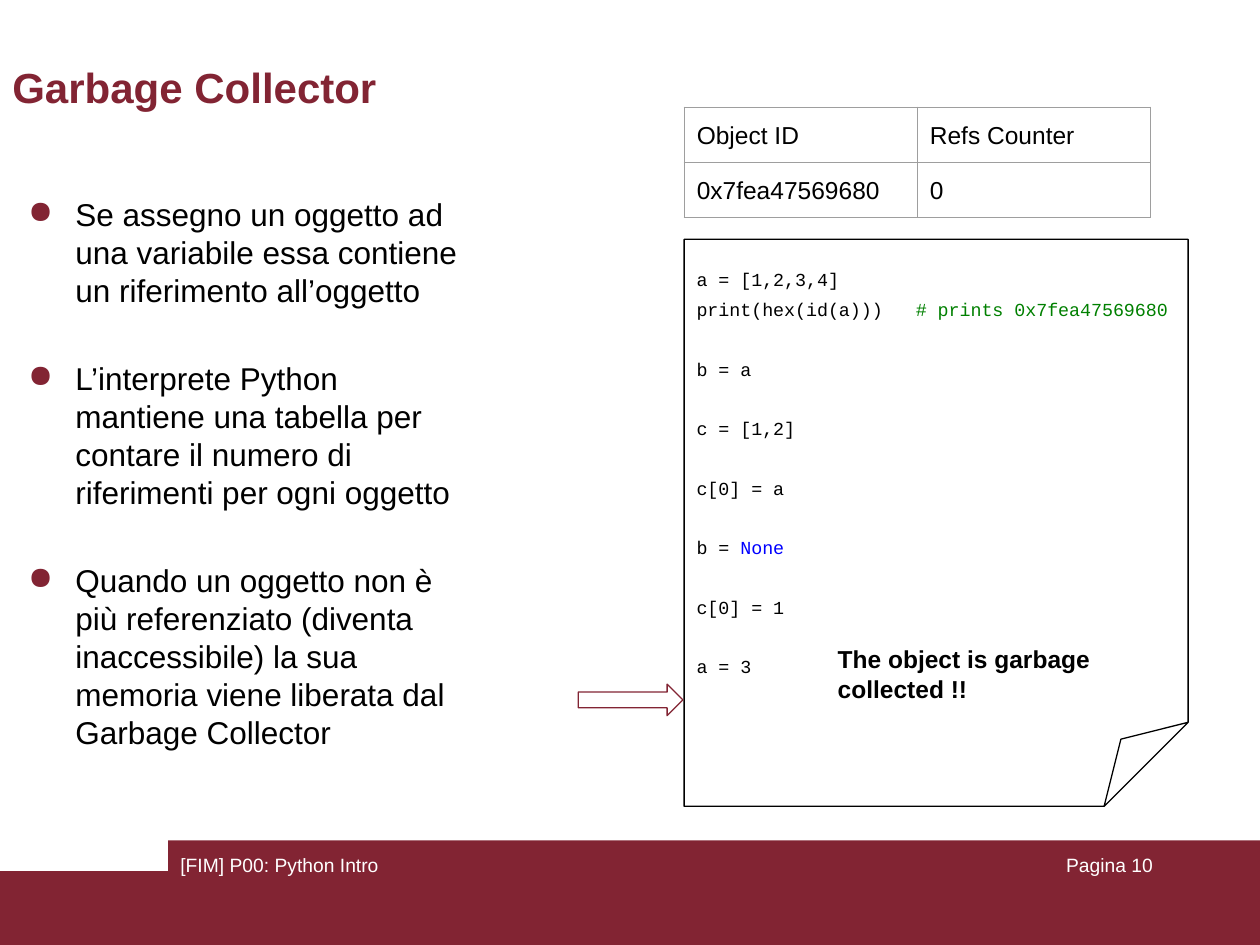
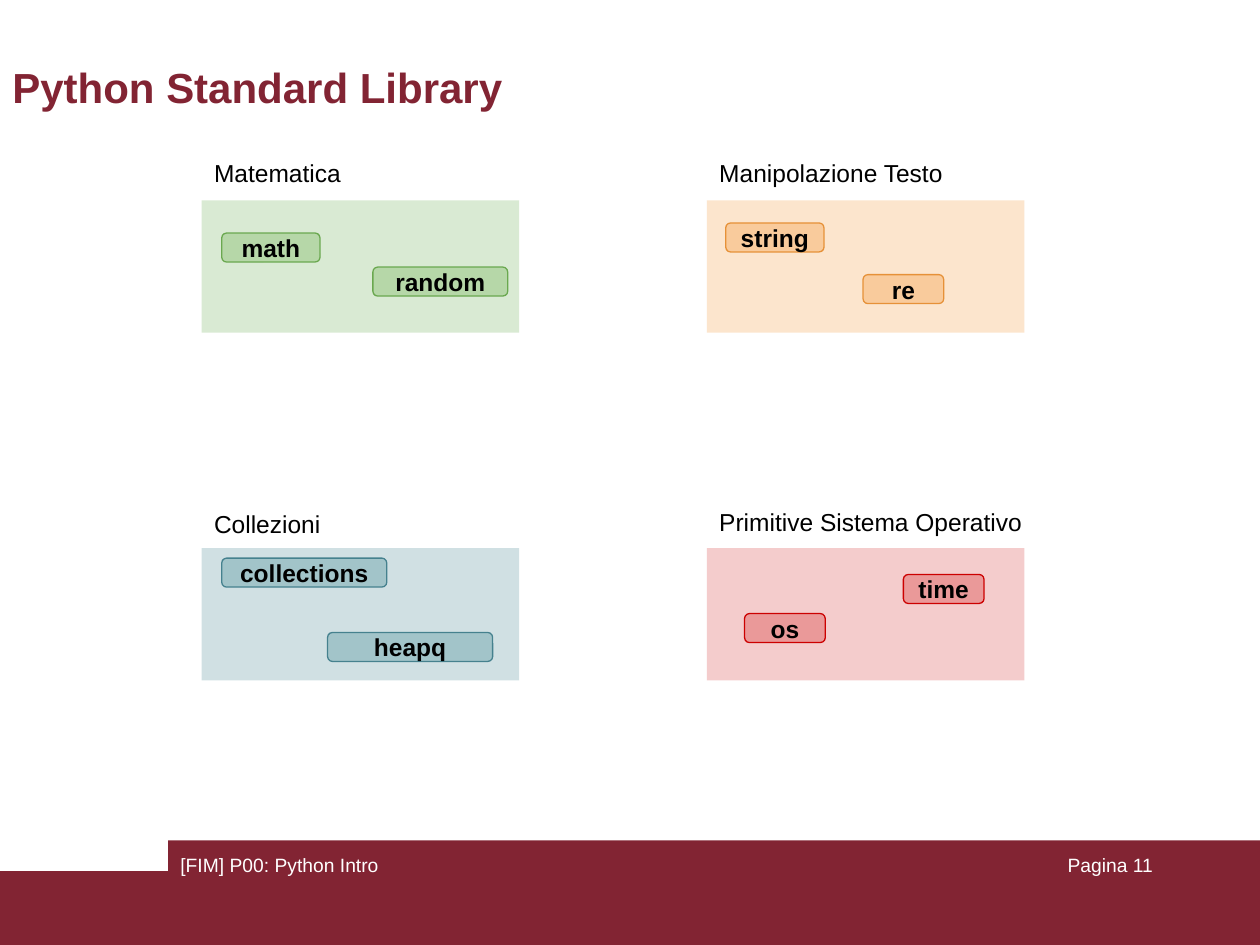
import pptx
import pptx.dml.color
import pptx.enum.shapes
import pptx.enum.text
import pptx.oxml
import pptx.oxml.ns
import pptx.util
from collections import namedtuple

Pt = pptx.util.Pt
SHAPE = pptx.enum.shapes.MSO_SHAPE
ALIGN = pptx.enum.text.PP_ALIGN
ANCHOR = pptx.enum.text.MSO_ANCHOR
Box = namedtuple("Box", "col row cols rows")

COLS, ROWS = 100, 75
CELL = pptx.util.Inches(0.1)
PAGE = Box(0, 0, COLS, ROWS)

COLORS = {
    "brand": "822433", "white": "FFFFFF", "text": "000000", "grid": "9E9E9E",
    "comment": "008000", "keyword": "0000FF",
    "green_panel": "D9EAD3", "green_chip": "B6D7A8", "green_line": "6AA84F",
    "orange_panel": "FCE5CD", "orange_chip": "F9CB9C", "orange_line": "E69138",
    "blue_panel": "D0E0E3", "blue_chip": "A2C4C9", "blue_line": "45818E",
    "red_panel": "F4CCCC", "red_chip": "EA9999", "red_line": "CC0000",
}
FONTS = {
    "title": {"name": "Arial", "size": Pt(24), "bold": True},
    "body": {"name": "Arial", "size": Pt(18)},
    "label": {"name": "Arial", "size": Pt(14), "bold": False},
    "strong": {"name": "Arial", "size": Pt(14), "bold": True},
    "footer": {"name": "Arial", "size": Pt(11)},
    "code": {"name": "Courier New", "size": Pt(10.5)},
}
LEADING = {"body": Pt(21.7), "label": Pt(17), "strong": Pt(17), "code": Pt(17)}

POINTS = [
    "Se assegno un oggetto ad una variabile essa contiene un riferimento all’oggetto",
    "L’interprete Python mantiene una tabella per contare il numero di riferimenti per ogni oggetto",
    "Quando un oggetto non è più referenziato (diventa inaccessibile) la sua memoria viene "
    "liberata dal Garbage Collector",
]
REFS = [["Object ID", "Refs Counter"], ["0x7fea47569680", "0"]]
CODE = [
    [("a = [1,2,3,4]", "text")],
    [("print(hex(id(a)))   ", "text"), ("# prints 0x7fea47569680", "comment")],
    [("b = a", "text")],
    [("c = [1,2]", "text")],
    [("c[0] = a", "text")],
    [("b = ", "text"), ("None", "keyword")],
    [("c[0] = 1", "text")],
    [("a = 3", "text")],
]
LIBRARIES = [
    ("Matematica", "green", 0, 0, 4.4, [("random", 13.6, 5.3, 10.7), ("math", 1.6, 2.6, 7.8)]),
    ("Manipolazione Testo", "orange", 1, 0, 4.4, [("string", 1.5, 1.8, 7.8), ("re", 12.4, 5.9, 6.4)]),
    ("Collezioni", "blue", 0, 1, 4.1, [("collections", 1.6, 0.8, 13.1), ("heapq", 10, 6.7, 13.1)]),
    ("Primitive Sistema Operativo", "red", 1, 1, 4.3, [("os", 3, 5.2, 6.4), ("time", 15.6, 2.1, 6.4)]),
]


def rgb(key):
    """Return the named colour."""
    return pptx.dml.color.RGBColor.from_string(COLORS[key])


def within(box, col, row, cols, rows):
    """Return a box offset from the corner of another one."""
    return Box(box.col + col, box.row + row, cols, rows)


def emu(box):
    """Turn a box of grid cells into slide lengths."""
    return [round(v * CELL) for v in box]


def set_attrs(obj, values):
    """Set each attribute of a dict on an object."""
    for key, value in values.items():
        setattr(obj, key, value)


def write(p, runs, style, align=ALIGN.LEFT):
    """Fill a paragraph with (text, colour) runs in one style."""
    p.alignment = align
    p.line_spacing = LEADING.get(style)
    for text, color in runs:
        r = p.add_run()
        r.text = text
        set_attrs(r.font, FONTS[style])
        r.font.color.rgb = rgb(color)


def frame(sp, left_right, top_bottom, anchor=ANCHOR.TOP, wrap=True):
    """Set margins in points, anchor and wrapping of a shape's text."""
    tf = sp.text_frame
    set_attrs(tf, {
        "margin_left": Pt(left_right), "margin_right": Pt(left_right),
        "margin_top": Pt(top_bottom), "margin_bottom": Pt(top_bottom),
        "vertical_anchor": anchor, "word_wrap": wrap,
    })
    return tf


def text(s, box, words, style, color="text", pad=7.2, align=ALIGN.LEFT, **options):
    """Add a text box holding one paragraph."""
    tf = frame(s.shapes.add_textbox(*emu(box)), 7.2, pad, **options)
    write(tf.paragraphs[0], [(words, color)], style, align)


def shape(s, kind, box, fill=None, line=None):
    """Add a flat preset shape with optional fill and outline."""
    sp = s.shapes.add_shape(kind, *emu(box))
    sp.shadow.inherit = False
    if fill:
        sp.fill.solid()
        sp.fill.fore_color.rgb = rgb(fill)
    else:
        sp.fill.background()
    if line:
        sp.line.color.rgb = rgb(line)
        sp.line.width = Pt(0.75)
    else:
        sp.line.fill.background()
    return sp


def base_slide(prs, title, number):
    """Add a blank slide with the title, the stepped band and its footer."""
    s = prs.slides.add_slide(prs.slide_layouts[6])
    step = COLS / 7.5
    band = Box(0, 66.7, COLS, 8.3)
    shape(s, SHAPE.RECTANGLE, within(band, 0, 2.45, COLS, 5.85), "brand")
    shape(s, SHAPE.RECTANGLE, within(band, step, 0, COLS - step, 8.3), "brand")
    text(s, within(band, step, 0.5, 31.7, 5), "[FIM] P00: Python Intro", "footer", "white", 3.6)
    text(s, within(band, 71.7, 0.5, 20.8, 5), f"Pagina {number}", "footer", "white", 3.6, ALIGN.RIGHT)
    text(s, within(PAGE, 0, 4.1, 82.7, 5.5), title, "title", "brand", 3.6, anchor=ANCHOR.MIDDLE)
    return s


def bullet_list(s, box, points):
    """Add the list of points with brand-coloured bullets."""
    tf = frame(s.shapes.add_textbox(*emu(box)), 7.2, 3.6)
    for i, point in enumerate(points):
        p = tf.paragraphs[0] if i == 0 else tf.add_paragraph()
        pPr = p._p.get_or_add_pPr()
        pPr.set("marL", str(5 * CELL))
        pPr.set("indent", str(round(-3.75 * CELL)))
        ns = pptx.oxml.ns.nsdecls("a")
        for xml in (f'<a:buClr {ns}><a:srgbClr val="{COLORS["brand"]}"/></a:buClr>',
                    f'<a:buChar {ns} char="●"/>'):
            pPr.append(pptx.oxml.parse_xml(xml))
        write(p, [(point, "text")], "body")
        if i:
            p.space_before = Pt(28.6)


def refs_table(s, box, rows):
    """Add the reference table with thin grey borders."""
    gf = s.shapes.add_table(len(rows), len(rows[0]), *emu(box))
    table = gf.table
    set_attrs(table, {"first_row": False, "horz_banding": False})
    for i, row in enumerate(rows):
        for j, words in enumerate(row):
            cell = table.cell(i, j)
            set_attrs(cell, {f"margin_{side}": CELL for side in ("left", "right", "top", "bottom")})
            write(cell.text_frame.paragraphs[0], [(words, "text")], "label")
            tcPr = cell._tc.get_or_add_tcPr()
            for tag in ("lnL", "lnR", "lnT", "lnB"):
                tcPr.append(pptx.oxml.parse_xml(
                    f'<a:{tag} {pptx.oxml.ns.nsdecls("a")} w="{Pt(0.75)}"><a:solidFill>'
                    f'<a:srgbClr val="{COLORS["grid"]}"/></a:solidFill></a:{tag}>'))
            cell.fill.background()


def code_note(s, box, lines):
    """Add the folded sheet with code, its arrow and its remark."""
    sp = shape(s, SHAPE.FOLDED_CORNER, box, line="text")
    tf = frame(sp, 7.2, 12.2)
    for i, runs in enumerate(lines):
        p = tf.paragraphs[0] if i == 0 else tf.add_paragraph()
        write(p, runs, "code")
        if i > 1:
            p.space_before = LEADING["code"]
    shape(s, SHAPE.RIGHT_ARROW, within(box, -8.4, 35.3, 8.3, 2.5), line="brand")
    text(s, within(box, 11.2, 31.1, 23.1, 6.7), "The object is garbage collected !!", "strong")


def library_panel(s, box, name, hue, lift, chips):
    """Add a labelled panel with its module chips."""
    shape(s, SHAPE.RECTANGLE, box, f"{hue}_panel")
    text(s, within(box, 0, -lift, 26.1, 4.4), name, "label", wrap=False)
    for module, col, row, cols in chips:
        sp = shape(s, SHAPE.ROUNDED_RECTANGLE, within(box, col, row, cols, 2.3),
                   f"{hue}_chip", f"{hue}_line")
        tf = frame(sp, 0, 0, ANCHOR.MIDDLE)
        write(tf.paragraphs[0], [(module, "text")], "strong", ALIGN.CENTER)


def collector_slide(prs):
    """Build the garbage collector slide."""
    s = base_slide(prs, "Garbage Collector", 10)
    bullet_list(s, within(PAGE, 0, 15, 38, 45), POINTS)
    right = within(PAGE, 54.3, 8.5, 40, 55.5)
    refs_table(s, within(right, 0, 0, 37, 8.4), REFS)
    code_note(s, within(right, 0, 10.5, 40, 45), CODE)


def library_slide(prs):
    """Build the standard library slide as a two by two grid."""
    s = base_slide(prs, "Python Standard Library", 11)
    for name, hue, col, row, lift, chips in LIBRARIES:
        box = within(PAGE, 16 + 40.1 * col, 15.9 + 27.6 * row, 25.2, 10.5)
        library_panel(s, box, name, hue, lift, chips)


def main():
    """Build and save the presentation."""
    prs = pptx.Presentation()
    set_attrs(prs, {"slide_width": COLS * CELL, "slide_height": ROWS * CELL})
    collector_slide(prs)
    library_slide(prs)
    prs.save("out.pptx")


if __name__ == "__main__":
    main()
